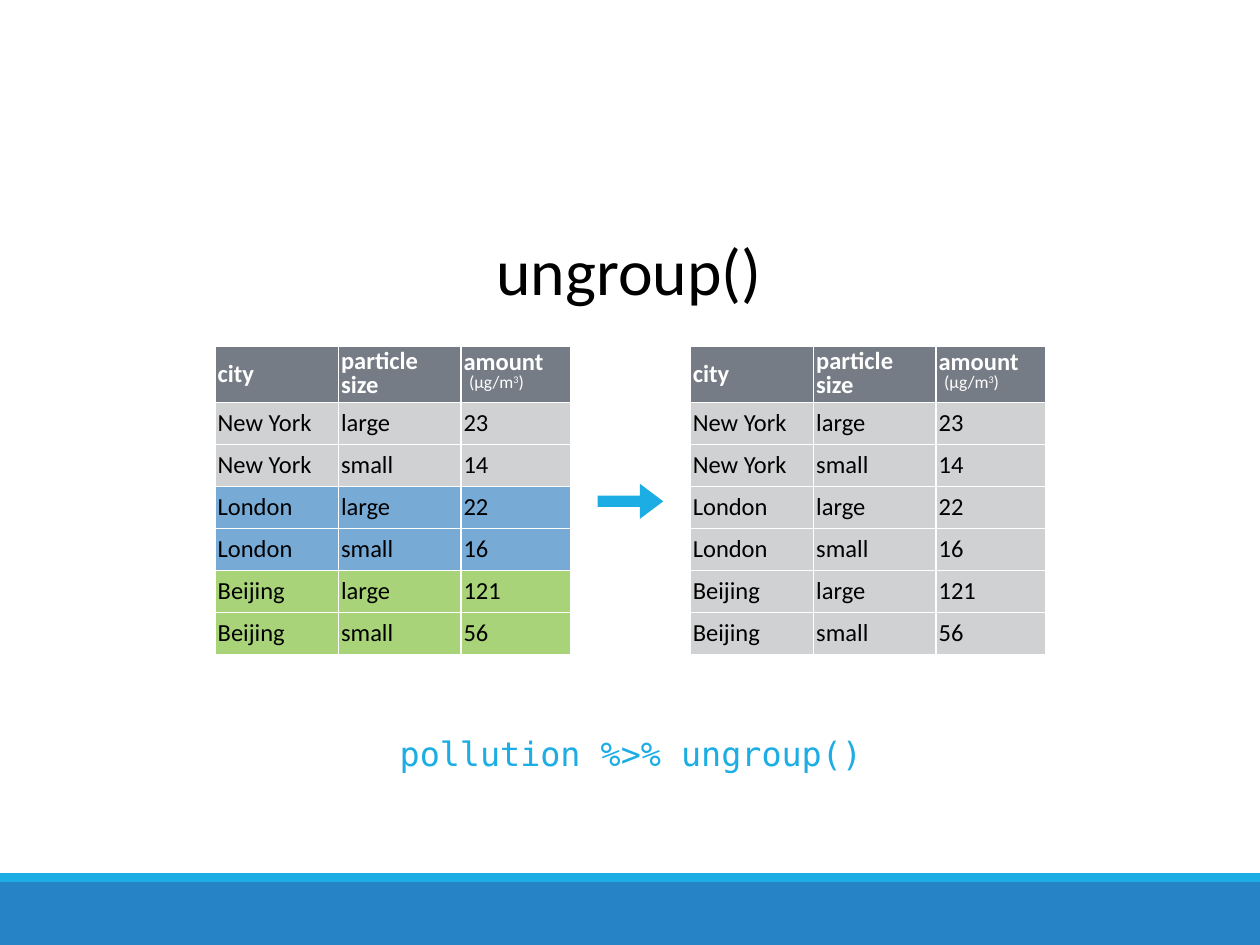
import pptx
import pptx.util
import pptx.dml.color
import pptx.enum.shapes
import pptx.enum.text
import pptx.oxml
import pptx.oxml.ns

Pt = pptx.util.Pt
RGBColor = pptx.dml.color.RGBColor
MSO_SHAPE = pptx.enum.shapes.MSO_SHAPE
MSO_ANCHOR = pptx.enum.text.MSO_ANCHOR
PP_ALIGN = pptx.enum.text.PP_ALIGN

WHITE = RGBColor(0xFF, 0xFF, 0xFF)
BLACK = RGBColor(0x00, 0x00, 0x00)
SKY = RGBColor(0x1C, 0xAD, 0xE4)
BLUE = RGBColor(0x26, 0x83, 0xC6)
HEADER_GREY = RGBColor(0x76, 0x7C, 0x85)
ROW_GREY = RGBColor(0xD0, 0xD1, 0xD2)
LONDON_BLUE = RGBColor(0x78, 0xAA, 0xD6)
BEIJING_GREEN = RGBColor(0xA8, 0xD3, 0x79)

BODY_FONT = "Calibri"
CODE_FONT = "DejaVu Sans Mono"

MEASUREMENTS = [
    ("New York", "large", "23"),
    ("New York", "small", "14"),
    ("London", "large", "22"),
    ("London", "small", "16"),
    ("Beijing", "large", "121"),
    ("Beijing", "small", "56"),
]
GROUP_FILLS = {"London": LONDON_BLUE, "Beijing": BEIJING_GREEN}
COLUMN_WIDTHS = (70.5, 70, 62.5)
HEADER_HEIGHT, ROW_HEIGHT = 32, 24
TABLE_TOP = 198
CELL_MARGIN = 1.4


def set_margins(frame, margin):
    for side in ("left", "right", "top", "bottom"):
        setattr(frame, f"margin_{side}", Pt(margin))


def format_runs(paragraph, size, color, font=BODY_FONT, bold=False):
    for run in paragraph.runs:
        run.font.size = Pt(size)
        run.font.name = font
        run.font.bold = bold
        run.font.color.rgb = color


def add_solid_shape(slide, preset, left, top, width, height, color):
    shape = slide.shapes.add_shape(preset, Pt(left), Pt(top), Pt(width), Pt(height))
    shape.shadow.inherit = False
    shape.fill.solid()
    shape.fill.fore_color.rgb = color
    shape.line.fill.background()
    return shape


def set_title(slide, text):
    title = slide.shapes.title
    title.left, title.top, title.width, title.height = Pt(205), Pt(127.5), Pt(309), Pt(53)
    frame = title.text_frame
    frame.text = text
    frame.auto_size = pptx.enum.text.MSO_AUTO_SIZE.NONE
    frame.vertical_anchor = MSO_ANCHOR.MIDDLE
    set_margins(frame, CELL_MARGIN)
    frame.paragraphs[0].alignment = PP_ALIGN.CENTER
    format_runs(frame.paragraphs[0], 37.5, BLACK)


def add_code(slide, text):
    frame = slide.shapes.add_textbox(Pt(194.5), Pt(417), Pt(332), Pt(33)).text_frame
    frame.word_wrap = True
    set_margins(frame, 2)
    frame.text = text
    paragraph = frame.paragraphs[0]
    paragraph.alignment = PP_ALIGN.CENTER
    paragraph.space_before = Pt(12)
    format_runs(paragraph, 19.1, SKY, CODE_FONT)


def style_cell(cell, fill):
    """Borders go in first, because the schema wants them ahead of the fill."""
    properties = cell._tc.get_or_add_tcPr()
    for edge in ("lnL", "lnR", "lnT", "lnB"):
        properties.append(pptx.oxml.parse_xml(
            f'<a:{edge} {pptx.oxml.ns.nsdecls("a")} w="12700"><a:solidFill>'
            f'<a:srgbClr val="{WHITE}"/></a:solidFill></a:{edge}>'))
    cell.fill.solid()
    cell.fill.fore_color.rgb = fill
    cell.vertical_anchor = MSO_ANCHOR.MIDDLE
    set_margins(cell, CELL_MARGIN)


def fill_cell(cell, text, fill, color, bold=False):
    style_cell(cell, fill)
    cell.text = text
    paragraph = cell.text_frame.paragraphs[0]
    paragraph.alignment = PP_ALIGN.LEFT
    format_runs(paragraph, 14, color, bold=bold)
    return paragraph


def add_unit(cell):
    """Adds the unit line, with its raised 3, under the column name."""
    unit = cell.text_frame.add_paragraph()
    unit.alignment = PP_ALIGN.LEFT
    unit.line_spacing = 0.6
    for text in (" ", "(µg/m", "3", ")"):
        unit.add_run().text = text
    format_runs(unit, 10, WHITE)
    unit.runs[0].font.size = Pt(14)
    unit.runs[2].font._element.set("baseline", "32000")


def add_pollution_table(slide, left, group_fills):
    height = HEADER_HEIGHT + ROW_HEIGHT * len(MEASUREMENTS)
    table = slide.shapes.add_table(
        len(MEASUREMENTS) + 1, len(COLUMN_WIDTHS),
        Pt(left), Pt(TABLE_TOP), Pt(sum(COLUMN_WIDTHS)), Pt(height)).table
    for column, width in zip(table.columns, COLUMN_WIDTHS):
        column.width = Pt(width)
    for row in table.rows:
        row.height = Pt(ROW_HEIGHT)
    table.rows[0].height = Pt(HEADER_HEIGHT)

    headings = (("city", 1), ("particle\vsize", 0.8), ("amount", 0.6))
    for column, (heading, spacing) in enumerate(headings):
        paragraph = fill_cell(table.cell(0, column), heading, HEADER_GREY, WHITE, True)
        paragraph.line_spacing = spacing
    add_unit(table.cell(0, 2))

    for row, measurement in enumerate(MEASUREMENTS, start=1):
        fill = group_fills.get(measurement[0], ROW_GREY)
        for column, value in enumerate(measurement):
            fill_cell(table.cell(row, column), value, fill, BLACK)


def main():
    presentation = pptx.Presentation()
    presentation.slide_width, presentation.slide_height = Pt(720), Pt(540)
    slide = presentation.slides.add_slide(presentation.slide_layouts[5])

    add_solid_shape(slide, MSO_SHAPE.RECTANGLE, 0, 504, 720, 36, BLUE)
    add_solid_shape(slide, MSO_SHAPE.RECTANGLE, 0, 499, 720, 5, SKY)
    set_title(slide, "ungroup()")
    add_pollution_table(slide, 123, GROUP_FILLS)
    add_pollution_table(slide, 394.5, {})
    add_code(slide, "pollution %>% ungroup()")
    arrow = add_solid_shape(slide, MSO_SHAPE.RIGHT_ARROW, 341.5, 276.5, 37.5, 20, SKY)
    arrow.adjustments[0] = 0.32
    arrow.adjustments[1] = 0.665

    presentation.save("out.pptx")


if __name__ == "__main__":
    main()
